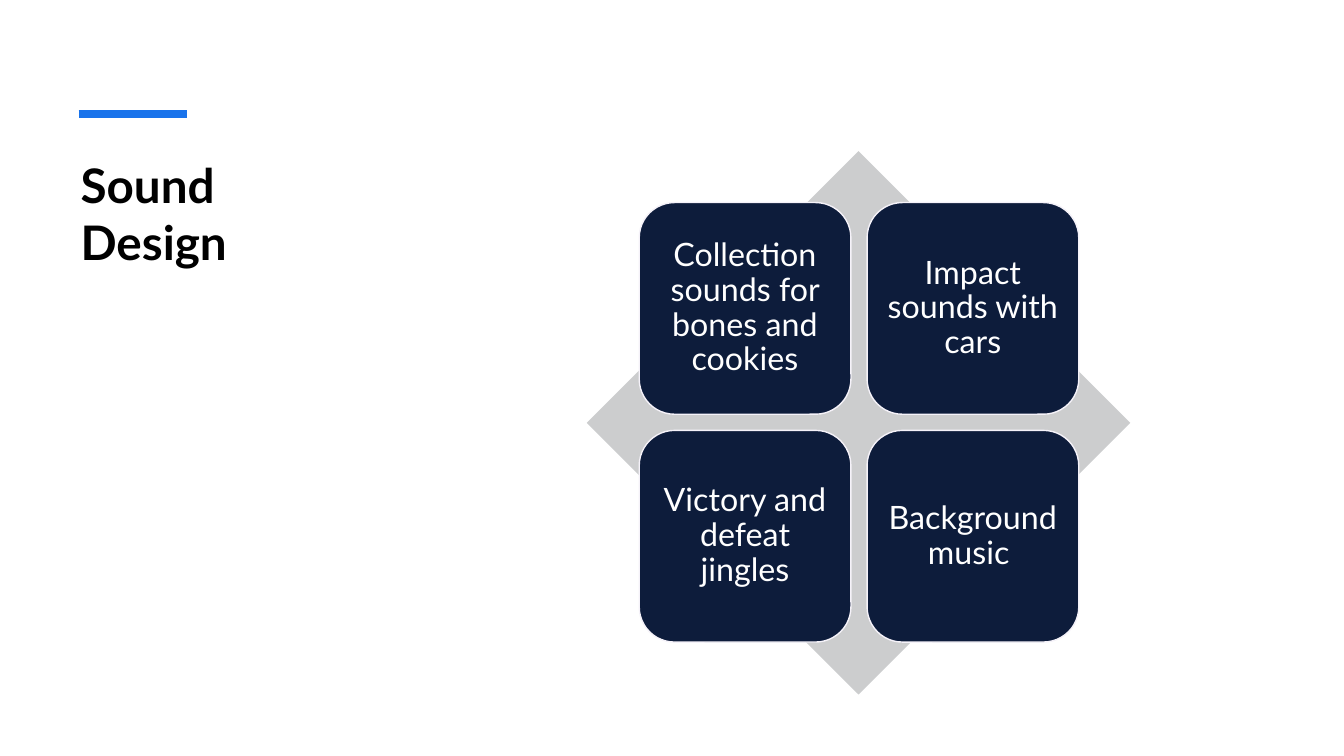
from dataclasses import dataclass

from lxml import etree
from pptx import Presentation
from pptx.dml.color import RGBColor
from pptx.enum.shapes import MSO_CONNECTOR, MSO_SHAPE
from pptx.enum.text import MSO_ANCHOR, PP_ALIGN
from pptx.oxml.ns import qn
from pptx.util import Pt

DIAMOND = MSO_SHAPE.DIAMOND
ROUNDED_RECTANGLE = MSO_SHAPE.ROUNDED_RECTANGLE
STRAIGHT = MSO_CONNECTOR.STRAIGHT
TOP, MIDDLE = MSO_ANCHOR.TOP, MSO_ANCHOR.MIDDLE
LEFT, CENTER = PP_ALIGN.LEFT, PP_ALIGN.CENTER
EMU_PER_PX = 9144  # 100 px to the inch
TITLE_ONLY = 5


@dataclass(frozen=True)
class Theme:
    font: str = "Lato"
    title_size: int = 34
    tile_size: int = 23
    title: RGBColor = RGBColor(0x00, 0x00, 0x00)
    accent: RGBColor = RGBColor(0x19, 0x73, 0xEB)
    diamond: RGBColor = RGBColor(0xCC, 0xCD, 0xCE)
    tile: RGBColor = RGBColor(0x0D, 0x1C, 0x3B)
    tile_line: RGBColor = RGBColor(0xF5, 0xF2, 0xF9)
    tile_text: RGBColor = RGBColor(0xFF, 0xFF, 0xFF)


def px(*lengths):
    return [length * EMU_PER_PX for length in lengths]


def write_text(shape, text, size, color, alignment, anchor, bold, spacing):
    frame = shape.text_frame
    frame.text = text
    frame.word_wrap = True
    frame.vertical_anchor = anchor
    paragraph = frame.paragraphs[0]
    paragraph.alignment = alignment
    paragraph.line_spacing = spacing
    paragraph.font.name = theme.font
    paragraph.font.size = Pt(size)
    paragraph.font.bold = bold
    paragraph.font.color.rgb = color
    return frame


theme = Theme()
presentation = Presentation()
presentation.slide_width, presentation.slide_height = px(1333, 750)
slide = presentation.slides.add_slide(presentation.slide_layouts[TITLE_ONLY])

# Title with its accent rule
title = slide.shapes.title
title.left, title.top, title.width, title.height = px(70, 150, 290, 454)
write_text(title, "Sound Design", theme.title_size, theme.title, LEFT, TOP, True, 1.0)

accent_rule = slide.shapes.add_connector(STRAIGHT, *px(78, 113, 185, 113))
accent_rule.line.color.rgb = theme.accent
accent_rule.line.width = Pt(6)
etree.SubElement(accent_rule._element.spPr, qn("a:effectLst"))

# Diamond behind a two-by-two grid of tiles
diamond = slide.shapes.add_shape(DIAMOND, *px(582, 150, 539, 539))
diamond.shadow.inherit = False
diamond.fill.solid()
diamond.fill.fore_color.rgb = theme.diamond
diamond.line.fill.background()

GRID_LEFT, GRID_TOP, TILE, STEP, INSET = 634, 201, 210, 226, 9
tile_texts = [
    "Collection sounds for bones and cookies",
    "Impact sounds with cars",
    "Victory and defeat jingles",
    "Background music ",
]
for index, text in enumerate(tile_texts):
    row, column = divmod(index, 2)
    tile = slide.shapes.add_shape(
        ROUNDED_RECTANGLE,
        *px(GRID_LEFT + column * STEP, GRID_TOP + row * STEP, TILE, TILE),
    )
    tile.shadow.inherit = False
    tile.fill.solid()
    tile.fill.fore_color.rgb = theme.tile
    tile.line.color.rgb = theme.tile_line
    tile.line.width = Pt(1)
    frame = write_text(
        tile, text, theme.tile_size, theme.tile_text, CENTER, MIDDLE, False, 0.9
    )
    frame.margin_left, frame.margin_top = px(INSET, INSET)
    frame.margin_right, frame.margin_bottom = px(INSET, INSET)

presentation.save("out.pptx")
